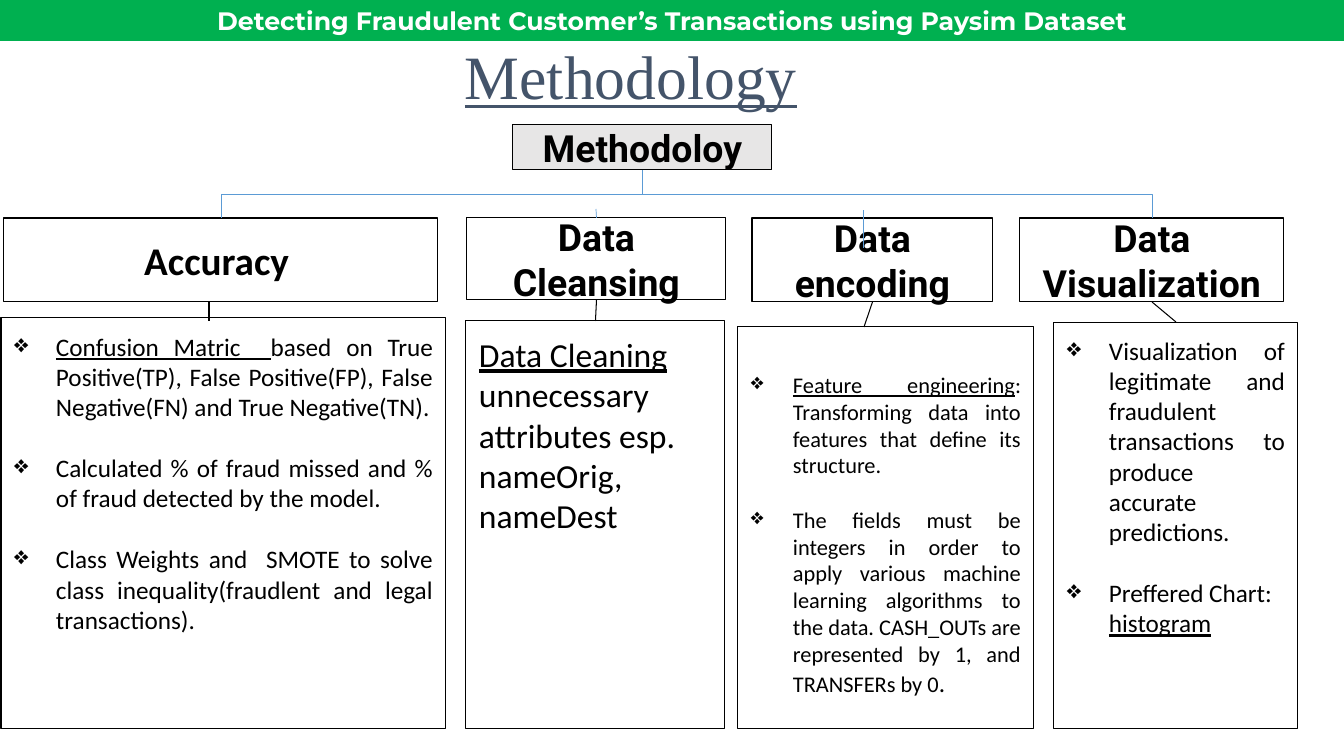
"""Build the methodology slide: a title, a tree of four steps and their details."""
from lxml.etree import SubElement
from pptx import Presentation
from pptx.dml.color import RGBColor
from pptx.enum.shapes import MSO_CONNECTOR as CONNECTOR, MSO_SHAPE as SHAPE
from pptx.enum.text import MSO_ANCHOR as ANCHOR, PP_ALIGN as ALIGN
from pptx.oxml.ns import qn
from pptx.util import Pt

PX = 9071
INSET = 13
BULLET_INDENT = 42
TOP, BOTTOM = 0, 2
BLACK = RGBColor(0x00, 0x00, 0x00)
WHITE = RGBColor(0xFF, 0xFF, 0xFF)
GREEN = RGBColor(0x00, 0xB0, 0x50)
GREY = RGBColor(0xE7, 0xE6, 0xE6)
SLATE = RGBColor(0x44, 0x54, 0x6A)
BLUE = RGBColor(0x5B, 0x9B, 0xD5)

presentation = Presentation()
presentation.slide_width = 1344 * PX
presentation.slide_height = 756 * PX
slide = presentation.slides.add_slide(presentation.slide_layouts[6])


def add_box(paragraphs, left, top, width, height, size=18, font="Calibri", color=BLACK,
            bold=False, align=ALIGN.CENTER, anchor=ANCHOR.MIDDLE, fill=None, line=BLACK,
            bullets=False, gap=0, inset_top=INSET):
    """Add a rectangle; each paragraph is a list of (text, underline) runs."""
    shape = slide.shapes.add_shape(SHAPE.RECTANGLE, left * PX, top * PX, width * PX, height * PX)
    shape.shadow.inherit = False
    if fill is None:
        shape.fill.background()
    else:
        shape.fill.solid()
        shape.fill.fore_color.rgb = fill
    if line is None:
        shape.line.fill.background()
    else:
        shape.line.color.rgb = line
        shape.line.width = Pt(0.75)
    frame = shape.text_frame
    frame.word_wrap = True
    frame.vertical_anchor = anchor
    frame.margin_left = frame.margin_right = frame.margin_bottom = INSET * PX
    frame.margin_top = inset_top * PX
    for index, runs in enumerate(paragraphs):
        paragraph = frame.paragraphs[0] if index == 0 else frame.add_paragraph()
        paragraph.alignment = align
        if index:
            paragraph.space_before = Pt(gap)
        if bullets:
            properties = paragraph._p.get_or_add_pPr()
            properties.set("marL", str(BULLET_INDENT * PX))
            properties.set("indent", str(-BULLET_INDENT * PX))
            SubElement(properties, qn("a:buChar")).set("char", "❖")
        for text, underline in runs:
            run = paragraph.add_run()
            run.text = text
            run.font.name = font
            run.font.size = Pt(size)
            run.font.bold = bold
            run.font.underline = underline
            run.font.color.rgb = color
    return shape


def add_line(start, end, color=BLACK, width=0.75, kind=CONNECTOR.STRAIGHT,
             begin_box=None, begin_side=BOTTOM, end_box=None):
    """Add a connector, joined to the boxes that are given."""
    connector = slide.shapes.add_connector(kind, *(value * PX for value in (*start, *end)))
    connector.line.color.rgb = color
    connector.line.width = Pt(width)
    SubElement(connector._element.spPr, qn("a:effectLst"))
    if begin_box is not None:
        connector.begin_connect(begin_box, begin_side)
    if end_box is not None:
        connector.end_connect(end_box, TOP)
    return connector


title = add_box([[("Methodology", True)]], 65, 50, 1132, 60, size=44,
                font="Times New Roman", color=SLATE, line=None)
title.text_frame.paragraphs[0].line_spacing = 0.9
root = add_box([[("Methodoloy", False)]], 513, 125, 259, 45, size=26.7, font="Roboto",
               bold=True, fill=GREY)

headers = [
    add_box([[(text, False)]], left, 218, width, height, size=size, font=font, bold=True)
    for text, left, width, height, size, font in [
        ("Accuracy ", 4, 434, 84, 28, "Calibri"),
        ("Data Cleansing", 467, 259, 82, 26.7, "Roboto"),
        ("Data encoding", 752, 241, 84, 26.7, "Roboto"),
        ("Data Visualization", 1020, 264, 84, 26.7, "Roboto"),
    ]
]
accuracy, cleansing, encoding, visualization = headers

detail_format = dict(align=ALIGN.JUSTIFY, anchor=ANCHOR.TOP, bullets=True, gap=22)
accuracy_details = add_box([
    [("Confusion Matric  ", True),
     ("based on True Positive(TP), False Positive(FP), False Negative(FN) "
      "and True Negative(TN).", False)],
    [("Calculated % of fraud missed and % of fraud detected by the model.", False)],
    [("Class Weights and  SMOTE to solve class inequality(fraudlent and legal "
      "transactions).", False)],
], 1, 318, 445, 411, **detail_format)
cleansing_details = add_box([
    [("Data Cleaning ", True),
     ("unnecessary attributes esp. nameOrig, nameDest", False)],
], 466, 321, 259, 408, size=24, align=ALIGN.LEFT, anchor=ANCHOR.TOP)
encoding_details = add_box([
    [("Feature engineering", True),
     (": Transforming data into features that define its structure.", False)],
    [("The fields must be integers in order to apply various machine learning algorithms "
      "to the data. CASH_OUTs are represented by 1, and TRANSFERs by 0", False),
     (".", False)],
], 738, 327, 296, 402, size=16, inset_top=44, **{**detail_format, "gap": 19.5})
encoding_details.text_frame.paragraphs[-1].runs[-1].font.size = Pt(18)
visualization_details = add_box([
    [("Visualization of legitimate and fraudulent transactions to produce accurate "
      "predictions.", False)],
    [("Preffered Chart: ", False), ("histogram", True)],
], 1054, 322, 244, 407, **detail_format)
visualization_details.text_frame.paragraphs[-1].alignment = ALIGN.LEFT

add_line((209, 302), (209, 321))
add_line((596, 300), (596, 321), begin_box=cleansing, end_box=cleansing_details)
add_line((873, 302), (864, 327), begin_box=encoding)
add_line((1152, 302), (1176, 322), begin_box=visualization, end_box=visualization_details)

root_x, root_bottom = 642, 170
for header, header_x, rotation, flip in [(accuracy, 221, 90, "0"), (visualization, 1152, 270, "1")]:
    branch = add_line((root_x, root_bottom), (header_x, 218), color=BLUE, width=0.5,
                      kind=CONNECTOR.ELBOW, begin_box=root, end_box=header)
    drop, reach = 218 - root_bottom, abs(header_x - root_x)
    branch.left = (root_x + header_x - drop) * PX // 2
    branch.top = (root_bottom + 218 - reach) * PX // 2
    branch.width, branch.height = drop * PX, reach * PX
    transform = branch._element.spPr.find(qn("a:xfrm"))
    transform.set("rot", str(rotation * 60000))
    transform.set("flipH", flip)
    transform.set("flipV", "0")

add_line((596, 218), (596, 209), color=BLUE, width=0.5, begin_box=cleansing, begin_side=TOP)
add_line((863, 248), (863, 210), color=BLUE, width=0.5)

add_box([[("Detecting Fraudulent Customer’s Transactions using Paysim Dataset", False)]],
        0, 0, 1344, 41, font="Montserrat", color=WHITE, bold=True, fill=GREEN, line=None)

presentation.save("out.pptx")
